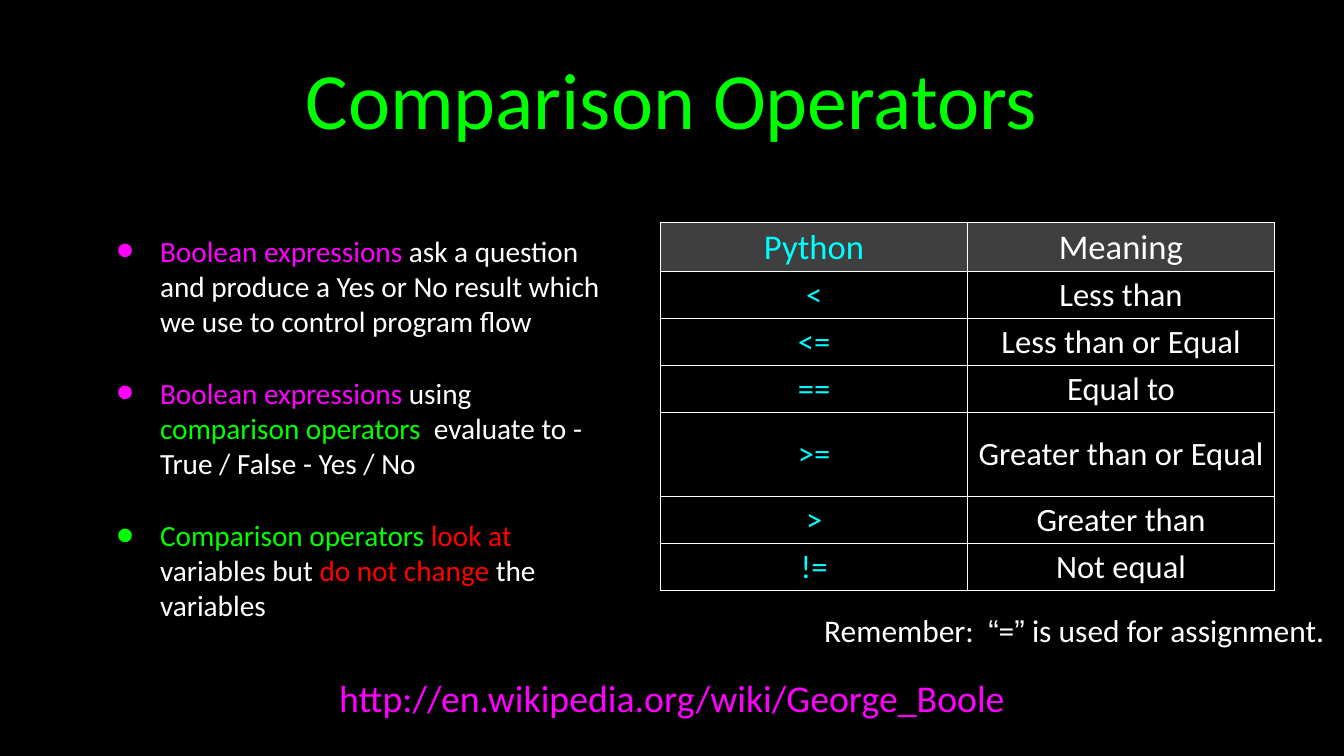
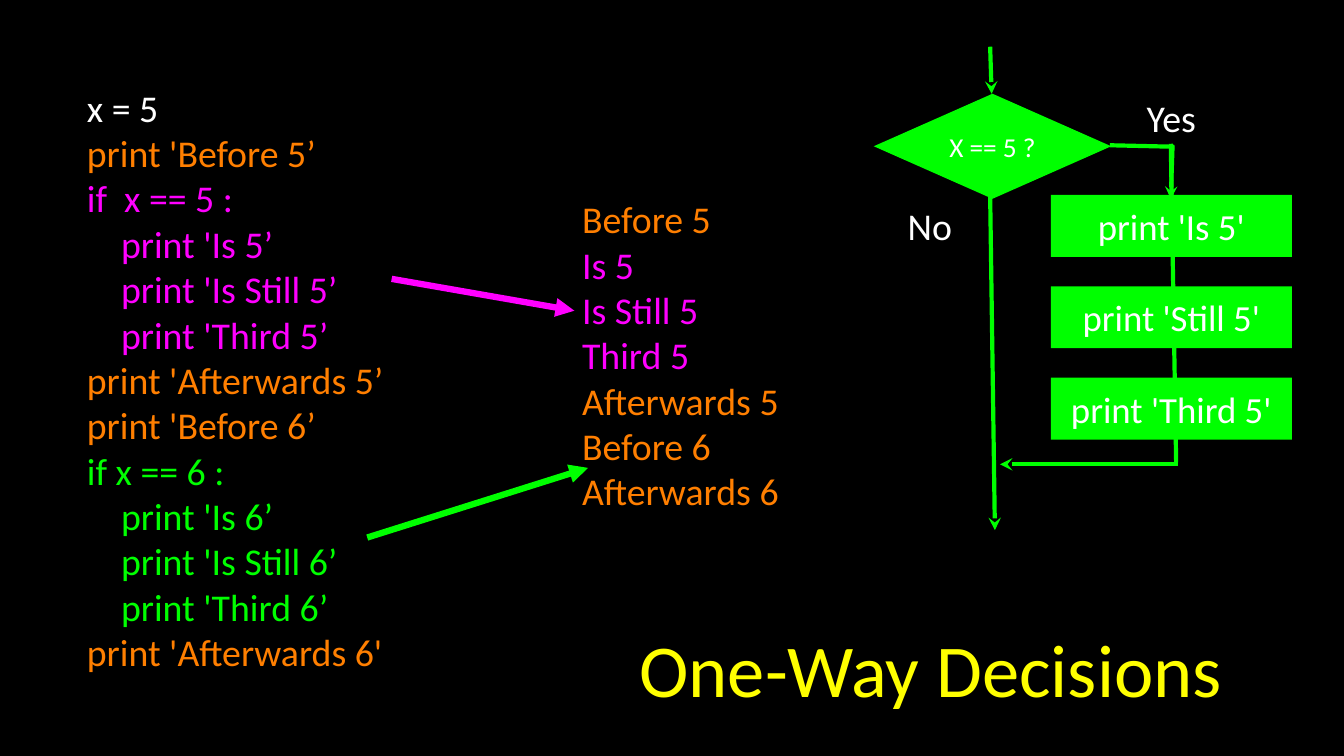
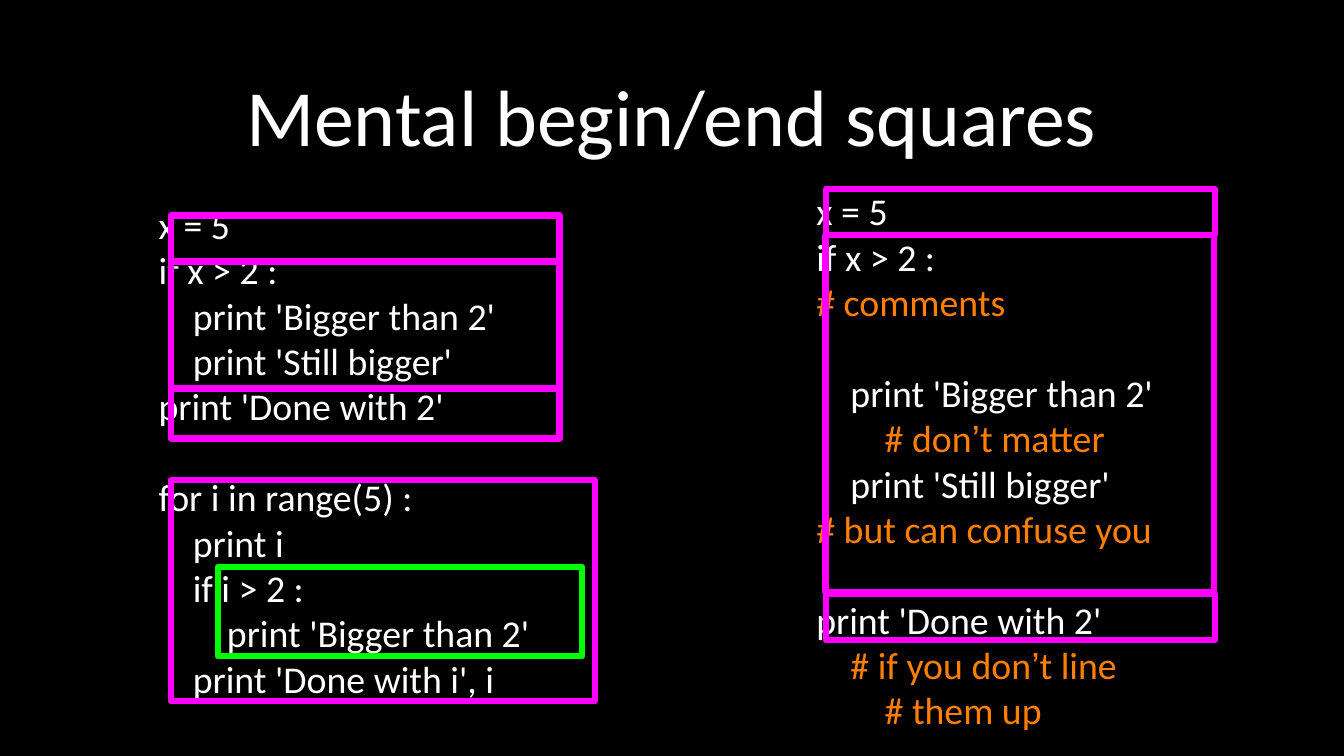
import lxml.etree
import pptx
import pptx.dml.color
import pptx.enum.shapes
import pptx.enum.text
import pptx.oxml.ns
import pptx.util

Cm = pptx.util.Cm
Pt = pptx.util.Pt
qn = pptx.oxml.ns.qn
ALIGN = pptx.enum.text.PP_ALIGN
FIT = pptx.enum.text.MSO_AUTO_SIZE
FORM = pptx.enum.shapes.MSO_SHAPE

HUES = {
    "black": "000000", "white": "FFFFFF", "green": "00FF00",
    "pink": "FF00FF", "orange": "FF7F00", "yellow": "FFFF00",
    "red": "FF0000", "cyan": "00FFFF", "gray": "7F7F7F",
}
FONT = "Calibri"
QUOTE = "Arial"
MIDDLE = pptx.enum.text.MSO_ANCHOR.MIDDLE
EDGES = ("margin_left", "margin_top", "margin_right", "margin_bottom")
FIXED = {"vertical_anchor": MIDDLE, "auto_size": FIT.NONE, "word_wrap": True}
LOOSE = {"vertical_anchor": MIDDLE, "auto_size": FIT.SHAPE_TO_FIT_TEXT,
         "word_wrap": False}


def put(item, values):
    """Set every attribute in a dict of format values."""
    for name, value in values.items():
        setattr(item, name, value)


def add(node, tag, **values):
    """Append one drawing element to an XML node."""
    return lxml.etree.SubElement(node, qn("a:" + tag), values)


def hue(name):
    """Give the colour behind a name."""
    return pptx.dml.color.RGBColor.from_string(HUES[name])


class Deck:
    """Hold the shared style and the current slide."""

    def __init__(self):
        """Start a wide deck with a black master."""
        self.show = pptx.Presentation()
        put(self.show, {"slide_width": Cm(45.16), "slide_height": Cm(25.4)})
        self.paint(self.show.slide_master.background, "black")

    def paint(self, item, color):
        """Fill an item with one colour."""
        item.fill.solid()
        item.fill.fore_color.rgb = hue(color)

    def page(self, title, color, size, box):
        """Add a slide and format its title."""
        self.slide = self.show.slides.add_slide(self.show.slide_layouts[5])
        head = self.slide.shapes.title
        put(head, dict(zip(("left", "top", "width", "height"), map(Cm, box))))
        self.frame(head.text_frame, FIXED, 0.1)
        self.fill(head.text_frame, [[(title, color)]], size, ALIGN.CENTER)

    def frame(self, frame, form, pad=0):
        """Format a text frame with equal margins."""
        put(frame, {**form, **dict.fromkeys(EDGES, Cm(pad))})

    def fill(self, frame, paras, size, align=ALIGN.LEFT, gap=43.2, mark=False):
        """Fill in paragraphs of runs; None puts a gap before the next one."""
        para, space = None, 0
        for runs in paras:
            if runs is None:
                space = gap
                continue
            para = frame.add_paragraph() if para is not None else frame.paragraphs[0]
            if mark:
                self.mark(para, runs[0][1])
            put(para, {"alignment": align, "space_before": Pt(space)})
            space = 0
            for text, color, *font in runs:
                run = para.add_run()
                run.text = text
                put(run.font, {"size": Pt(size), "name": font[0] if font else FONT})
                run.font.color.rgb = hue(color)

    def mark(self, para, color):
        """Give a paragraph a large coloured bullet."""
        props = para._p.get_or_add_pPr()
        props.set("marL", str(Cm(2.08)))
        props.set("indent", str(Cm(-1.47)))
        add(add(props, "buClr"), "srgbClr", val=HUES[color])
        add(props, "buSzPct", val="171000")
        add(props, "buFont", typeface=QUOTE)
        add(props, "buChar", char="•")

    def text(self, box, paras, size=36, form=LOOSE, pad=0, **style):
        """Add a text box."""
        item = self.slide.shapes.add_textbox(*map(Cm, box))
        self.frame(item.text_frame, form, pad)
        self.fill(item.text_frame, paras, size, **style)

    def label(self, box, text, color="white"):
        """Add one centred line of text."""
        self.text(box, [[(text, color)]], align=ALIGN.CENTER)

    def shape(self, kind, box, text, size):
        """Add a green flowchart shape."""
        item = self.slide.shapes.add_shape(kind, *map(Cm, box))
        item.shadow.inherit = False
        self.paint(item, "green")
        item.line.fill.background()
        self.frame(item.text_frame, FIXED)
        self.fill(item.text_frame, [[(text, "white")]], size, ALIGN.CENTER)

    def square(self, box, color="pink"):
        """Add an empty outlined square."""
        item = self.slide.shapes.add_shape(FORM.RECTANGLE, *map(Cm, box))
        item.shadow.inherit = False
        item.fill.background()
        item.line.color.rgb = hue(color)
        item.line.width = Pt(6)

    def line(self, ends, head=None, color="green", width=4):
        """Add a line, with an arrowhead at its start if named."""
        item = self.slide.shapes.add_connector(
            pptx.enum.shapes.MSO_CONNECTOR.STRAIGHT, *map(Cm, ends))
        item.line.color.rgb = hue(color)
        item.line.width = Pt(width)
        if head:
            add(item.line._get_or_add_ln(), "headEnd", type=head)
        add(item._element.spPr, "effectLst")

    def table(self, spot, wide, highs, rows):
        """Add a ruled table of two columns with a gray head."""
        size = wide * 2, sum(highs)
        grid = self.slide.shapes.add_table(len(rows), 2, *map(Cm, spot + size)).table
        put(grid, {"first_row": False, "horz_banding": False})
        for col in grid.columns:
            col.width = Cm(wide)
        for i, (high, row) in enumerate(zip(highs, rows)):
            grid.rows[i].height = Cm(high)
            for j, color in enumerate(("cyan", "white")):
                self.cell(grid.cell(i, j), row[j], color, i == 0)

    def cell(self, cell, text, color, head):
        """Fill in, rule and colour one table cell."""
        self.fill(cell.text_frame, [[(text, color)]], 33 if head else 31, ALIGN.CENTER)
        put(cell, {"vertical_anchor": MIDDLE,
                   **dict(zip(EDGES, map(Cm, (0.1, 0.13) * 2)))})
        props = cell._tc.get_or_add_tcPr()
        for side in "LRTB":
            rule = add(props, "ln" + side, w=str(Pt(0.96)))
            add(add(rule, "solidFill"), "srgbClr", val=HUES["white"])
        if head:
            self.paint(cell, "gray")
            add(props.find(qn("a:solidFill"))[0], "alpha", val="50000")
        else:
            cell.fill.background()


def tint(color, *lines):
    """Make one paragraph of one colour from each line."""
    return [[(line, color)] for line in lines]


def compare(deck):
    """Build the slide on comparison operators."""
    deck.page("Comparison Operators", "green", 76, (3.2, 0.66, 38.71, 5.26))
    deck.text((3.2, 6.45, 17.17, 15.85), [
        [("Boolean expressions", "pink"),
         (" ask a question and produce a Yes or No result which "
          "we use to control program flow", "white")],
        None,
        [("Boolean expressions", "pink"), (" using ", "white"),
         ("comparison operators  ", "green"),
         ("evaluate to - True / False - Yes / No", "white")],
        None,
        [("Comparison operators ", "green"), ("look at", "red"),
         (" variables but ", "white"), ("do not change", "red"),
         (" the variables", "white")],
    ], 27.9, FIXED, 0.1, gap=35, mark=True)
    deck.label((9.91, 22.68, 25.35, 1.52),
               "http://en.wikipedia.org/wiki/George_Boole", "pink")
    deck.text((27.1, 20.52, 18, 1.27), [[
        ("Remember:  ", "white"), ("“", "white", QUOTE), ("=", "white"),
        ("”", "white", QUOTE), (" is used for assignment.", "white"),
    ]], 30, align=ALIGN.CENTER)
    deck.table((22.2, 7.47), 10.31, (1.6, 1.52, 1.52, 1.52, 2.84, 1.52, 1.52), (
        ("Python", "Meaning"),
        ("<", "Less than"),
        ("<=", "Less than or Equal"),
        ("==", "Equal to"),
        (">=", "Greater than or Equal"),
        (">", "Greater than"),
        ("!=", "Not equal"),
    ))


def decide(deck):
    """Build the slide on one-way decisions."""
    deck.page("One-Way Decisions", "yellow", 71, (18.11, 19.23, 26.34, 6.38))
    deck.text((2.92, 2.84, 11.4, 19.81), [
        *tint("white", "x = 5"),
        *tint("orange", "print 'Before 5’"),
        *tint("pink", "if  x == 5 :", "    print 'Is 5’",
              "    print 'Is Still 5’", "    print 'Third 5’"),
        *tint("orange", "print 'Afterwards 5’", "print 'Before 6’"),
        *tint("green", "if x == 6 :", "    print 'Is 6’",
              "    print 'Is Still 6’", "    print 'Third 6’"),
        *tint("orange", "print 'Afterwards 6'"),
    ])
    deck.text((19.56, 6.58, 7.62, 10.67), [
        *tint("orange", "Before 5"),
        *tint("pink", "Is 5", "Is Still 5", "Third 5"),
        *tint("orange", "Afterwards 5", "Before 6", "Afterwards 6"),
    ])
    deck.line((19.3, 10.44, 13.16, 9.37), "triangle", "pink", 6)
    deck.line((19.76, 15.72, 12.34, 18.06), "triangle", "green", 6)
    for ends, head in (
        ((33.32, 3.15, 33.27, 1.57), "stealth"),
        ((33.43, 17.81, 33.27, 6.53), "stealth"),
        ((39.45, 4.93, 37.29, 4.88), None),
        ((39.34, 6.68, 39.4, 4.88), "stealth"),
        ((39.34, 4.83, 39.52, 15.54), None),
        ((33.6, 15.6, 39.57, 15.6), "stealth"),
    ):
        deck.line(ends, head)
    deck.shape(FORM.DIAMOND, (29.36, 3.15, 7.98, 3.53), "X == 5 ?", 26)
    for i, word in enumerate(("Is", "Still", "Third")):
        deck.shape(FORM.RECTANGLE, (35.31, 6.55 + 3.07 * i, 8.1, 2.08),
                   f"print '{word} 5'", 35)
    deck.label((38.33, 3.2, 2.06, 1.52), "Yes")
    deck.label((30.38, 6.83, 1.73, 1.52), "No")


def nest(deck):
    """Build the slide on begin and end squares."""
    deck.page("Mental begin/end squares", "white", 76, (3.2, 0.66, 38.71, 6.38))
    deck.text((5.33, 6.78, 14.5, 16.76), [
        *tint("white", "x = 5", "if x > 2 :", "    print 'Bigger than 2'",
              "    print 'Still bigger'", "print 'Done with 2'"),
        None,
        *tint("white", "for i in range(5) :", "    print i", "    if i > 2 :",
              "        print 'Bigger than 2'", "    print 'Done with i', i"),
    ])
    deck.text((27.43, 6.32, 13.18, 18.29), [
        *tint("white", "x = 5", "if x > 2 :"),
        *tint("orange", "# comments"),
        None,
        *tint("white", "    print 'Bigger than 2'"),
        [("        # don", "orange"), ("’", "orange", QUOTE), ("t matter", "orange")],
        *tint("white", "    print 'Still bigger'"),
        *tint("orange", "# but can confuse you"),
        None,
        *tint("white", "print 'Done with 2'"),
        [("    # if you don", "orange"), ("’", "orange", QUOTE), ("t line", "orange")],
        *tint("orange", "        # them up"),
    ])
    for left, top, high in (
        (5.74, 8.81, 4.24), (5.74, 13.03, 1.7), (5.74, 7.24, 1.55),
        (27.76, 6.35, 1.55), (27.74, 7.9, 11.99), (27.76, 19.96, 1.55),
    ):
        deck.square((left, top, 13.06, high))
    deck.square((5.74, 16.13, 14.25, 7.42))
    deck.square((7.32, 19.05, 12.24, 3), "green")


def main():
    """Build and save the deck."""
    deck = Deck()
    for build in (compare, decide, nest):
        build(deck)
    deck.show.save("out.pptx")


if __name__ == "__main__":
    main()
